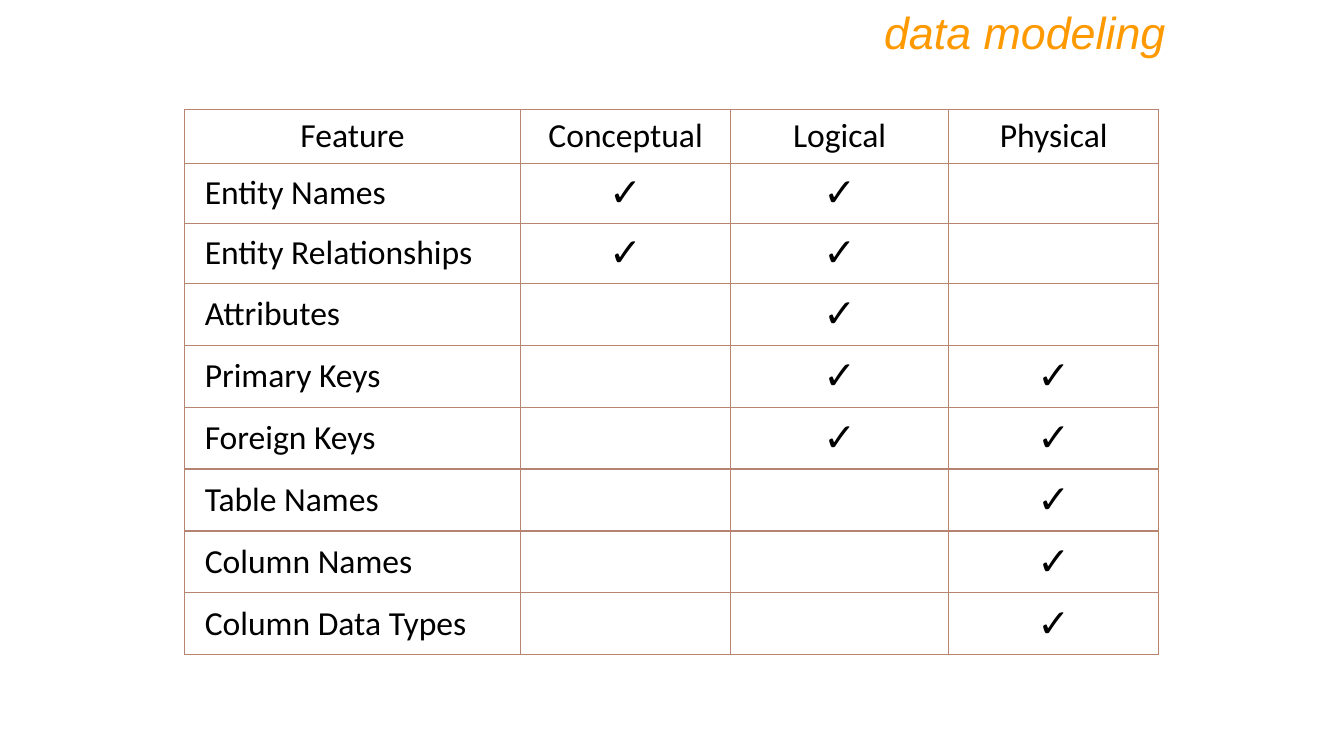
import pptx
import pptx.dml.color
import pptx.enum.text
import pptx.oxml
import pptx.oxml.ns
import pptx.util

Cm = pptx.util.Cm
Pt = pptx.util.Pt
ALIGN = pptx.enum.text.PP_ALIGN

BLACK = pptx.dml.color.RGBColor(0x00, 0x00, 0x00)
ORANGE = pptx.dml.color.RGBColor(0xFF, 0x99, 0x00)
BROWN = pptx.dml.color.RGBColor(0xB8, 0x84, 0x72)

LEVELS = ["Conceptual", "Logical", "Physical"]
FEATURES = [
    ("Entity Names", {"Conceptual", "Logical"}),
    ("Entity Relationships", {"Conceptual", "Logical"}),
    ("Attributes", {"Logical"}),
    ("Primary Keys", {"Logical", "Physical"}),
    ("Foreign Keys", {"Logical", "Physical"}),
    ("Table Names", {"Physical"}),
    ("Column Names", {"Physical"}),
    ("Column Data Types", {"Physical"}),
]
COLUMN_WIDTHS = [Cm(8.47), Cm(5.29), Cm(5.5), Cm(5.29)]
ROW_HEIGHTS = [Cm(1.37)] + [Cm(1.51)] * 2 + [Cm(1.56)] * 6


def write(frame, text, *, size=24, font="Calibri", color=BLACK,
          align=ALIGN.CENTER, italic=False, indent=0):
    paragraph = frame.paragraphs[0]
    paragraph.alignment = align
    if indent:
        properties = paragraph._p.get_or_add_pPr()
        properties.set("marL", "0")
        properties.set("indent", str(indent))
    run = paragraph.add_run()
    run.text = text
    run.font.size = Pt(size)
    run.font.name = font
    run.font.color.rgb = color
    run.font.italic = italic


def style_cell(cell):
    properties = cell._tc.get_or_add_tcPr()
    for side in "LRTB":
        properties.append(pptx.oxml.parse_xml(
            f'<a:ln{side} {pptx.oxml.ns.nsdecls("a")} w="{Pt(1)}"><a:solidFill>'
            f'<a:srgbClr val="{BROWN}"/></a:solidFill></a:ln{side}>'))
    cell.fill.background()
    cell.vertical_anchor = pptx.enum.text.MSO_ANCHOR.MIDDLE
    cell.margin_left = cell.margin_right = Cm(0.03)
    cell.margin_top = cell.margin_bottom = Cm(0.03)


def add_title(slide, text):
    title = slide.shapes.add_textbox(Cm(4.23), 0, Cm(25.4), Cm(1.62))
    title.text_frame.word_wrap = True
    title.text_frame.auto_size = pptx.enum.text.MSO_AUTO_SIZE.SHAPE_TO_FIT_TEXT
    write(title.text_frame, text, size=32, font="Arial", color=ORANGE,
          align=ALIGN.RIGHT, italic=True)


def add_feature_table(slide):
    table = slide.shapes.add_table(
        len(ROW_HEIGHTS), len(COLUMN_WIDTHS), Cm(4.65), Cm(2.75),
        sum(COLUMN_WIDTHS), sum(ROW_HEIGHTS)).table
    table.first_row = False
    table.horz_banding = False
    for column, width in zip(table.columns, COLUMN_WIDTHS):
        column.width = width
    for row, height in zip(table.rows, ROW_HEIGHTS):
        row.height = height
    for cell in table.iter_cells():
        style_cell(cell)
    for column, heading in enumerate(["Feature"] + LEVELS):
        write(table.cell(0, column).text_frame, heading)
    for row, (feature, covered) in enumerate(FEATURES, 1):
        write(table.cell(row, 0).text_frame, feature,
              align=ALIGN.LEFT, indent=Cm(0.48))
        for column, level in enumerate(LEVELS, 1):
            if level in covered:
                write(table.cell(row, column).text_frame, "✓", size=28)


def main():
    presentation = pptx.Presentation()
    presentation.slide_width = Cm(33.87)
    presentation.slide_height = Cm(19.05)
    slide = presentation.slides.add_slide(presentation.slide_layouts[6])
    add_feature_table(slide)
    add_title(slide, "data modeling")
    presentation.save("out.pptx")


if __name__ == "__main__":
    main()
